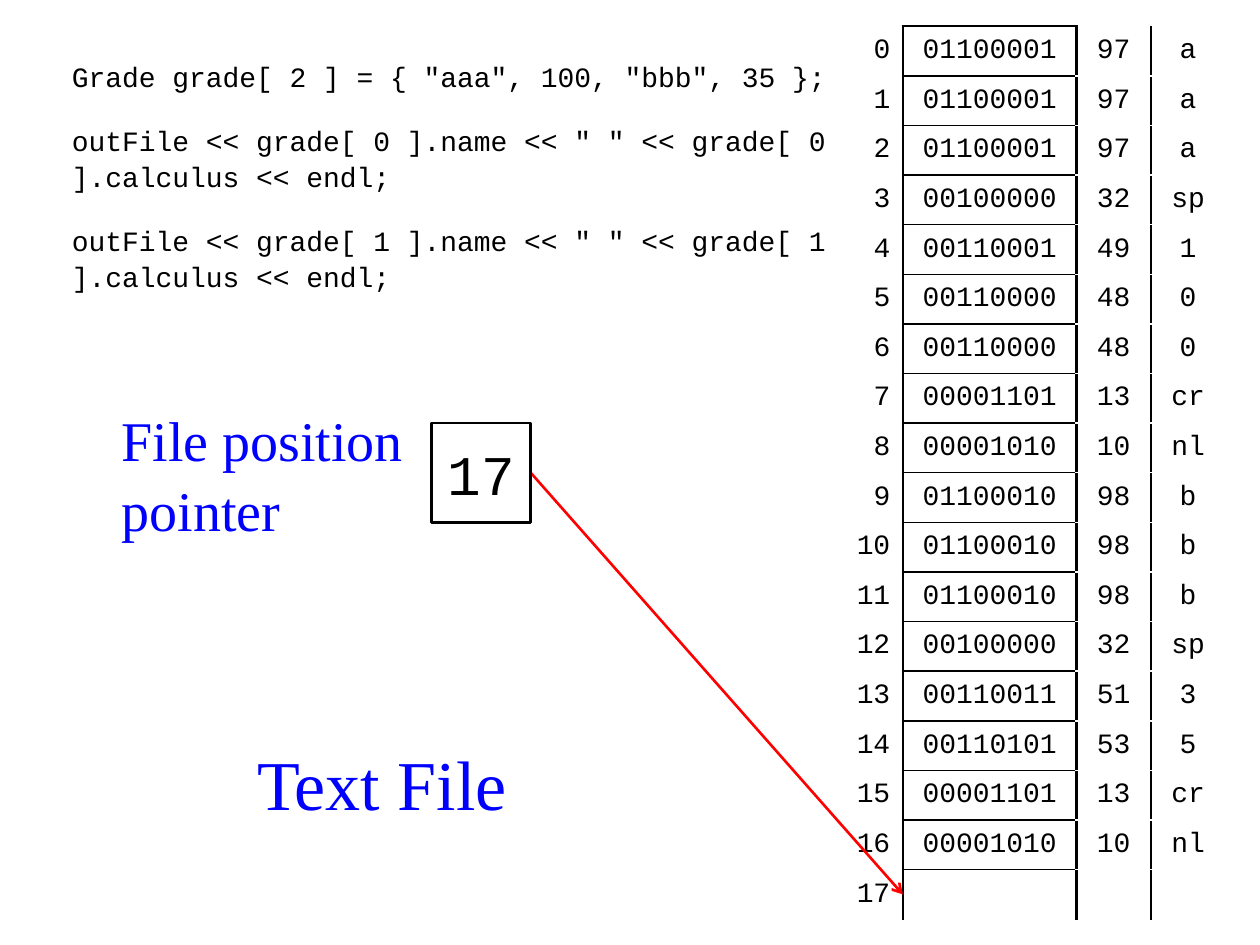
import pptx
import pptx.util
import pptx.dml.color
import pptx.enum.text
import pptx.enum.shapes
import pptx.oxml
import pptx.oxml.ns

Cm = pptx.util.Cm
Pt = pptx.util.Pt
Align = pptx.enum.text.PP_ALIGN
Anchor = pptx.enum.text.MSO_ANCHOR


def tint(code):
    return pptx.dml.color.RGBColor.from_string(code)


class Deck:
    """Slide builder on a grid of one-centimetre cells."""

    mono, serif = "Courier New", "Times New Roman"
    ink, blue, red = "000000", "0000FF", "FF0000"
    left, top, rule = 0.7, 0.53, 1.5

    def __init__(self):
        self.show = pptx.Presentation()
        self.show.slide_width = pptx.util.Inches(10)
        self.show.slide_height = pptx.util.Inches(7.5)
        self.slide = self.show.slides.add_slide(self.show.slide_layouts[6])

    def spot(self, col, row):
        return Cm(self.left + col), Cm(self.top + row)

    def area(self, col, row, wide, high):
        return *self.spot(col, row), Cm(wide), Cm(high)

    def words(self, frame, text, size, font, color, align, gap=0, lead=None):
        frame.text = text
        for num, para in enumerate(frame.paragraphs):
            para.alignment = align
            para.line_spacing = lead
            para.space_before = Pt(gap if num else 0)
            for run in para.runs:
                run.font.size = Pt(size)
                run.font.name = font
                run.font.color.rgb = tint(color)

    def text(self, area, text, size, font, color, align=Align.LEFT,
             anchor=Anchor.MIDDLE, gap=0, lead=None):
        frame = self.slide.shapes.add_textbox(*self.area(*area)).text_frame
        frame.word_wrap = True
        frame.vertical_anchor = anchor
        self.words(frame, text, size, font, color, align, gap, lead)

    def box(self, area, text, size):
        kind = pptx.enum.shapes.MSO_SHAPE.RECTANGLE
        shape = self.slide.shapes.add_shape(kind, *self.area(*area))
        shape.shadow.inherit = False
        shape.fill.background()
        shape.line.color.rgb = tint(self.ink)
        shape.line.width = Pt(self.rule)
        shape.text_frame.vertical_anchor = Anchor.MIDDLE
        self.words(shape.text_frame, text, size, self.mono, self.ink, Align.CENTER)

    def arrow(self, start, end):
        kind = pptx.enum.shapes.MSO_CONNECTOR.STRAIGHT
        link = self.slide.shapes.add_connector(kind, *self.spot(*start), *self.spot(*end))
        link.line.color.rgb = tint(self.red)
        link.line.width = Pt(self.rule)
        props = link._element.spPr
        space = pptx.oxml.ns.nsdecls("a")
        props.get_or_add_ln().append(
            pptx.oxml.parse_xml(f'<a:tailEnd {space} type="arrow"/>'))
        props.append(pptx.oxml.parse_xml(f'<a:effectLst {space}/>'))

    def edge(self, cell, sides):
        props = cell._tc.get_or_add_tcPr()
        for side, width in sides.items():
            props.append(pptx.oxml.parse_xml(
                f'<a:ln{side} {pptx.oxml.ns.nsdecls("a")} w="{int(Pt(width))}">'
                f'<a:solidFill><a:srgbClr val="{self.ink}"/></a:solidFill></a:ln{side}>'))

    def table(self, col, row, widths, rows, edges):
        area = self.area(col, row, sum(widths), len(rows))
        table = self.slide.shapes.add_table(len(rows), len(widths), *area).table
        table.first_row = table.horz_banding = False
        for part, wide in zip(table.columns, widths):
            part.width = Cm(wide)
        for y, vals in enumerate(rows):
            table.rows[y].height = Cm(1)
            for x, val in enumerate(vals):
                cell = table.cell(y, x)
                cell.vertical_anchor = Anchor.MIDDLE
                self.edge(cell, edges(x, y))
                cell.fill.background()
                align = Align.CENTER if x else Align.RIGHT
                self.words(cell.text_frame, val, 16, self.mono, self.ink, align)


signs = "a a a sp 1 0 0 cr nl b b b sp 3 5 cr nl".split()
names = {"sp": 32, "cr": 13, "nl": 10}
codes = [names.get(sign) or ord(sign) for sign in signs]
rows = [(str(num), f"{code:08b}", str(code), sign)
        for num, (code, sign) in enumerate(zip(codes, signs))]
last = len(rows)
rows.append((str(last), "", "", ""))


def edges(x, y):
    if x == 1:
        sides = {"L": 1.5, "R": 1.5, "T": 1 if y else 1.5}
        return sides if y == last else {**sides, "B": 1}
    return {0: {"R": 1.5}, 2: {"L": 1.5}}.get(x, {})


lines = ['Grade grade[ 2 ] = { "aaa", 100, "bbb", 35 };']
lines += [f'outFile << grade[ {num} ].name << " " << grade[ {num} ].calculus << endl;'
          for num in range(2)]

deck = Deck()
deck.table(16, 0, (1.5, 3.5, 1.5, 1.5), rows, edges)
deck.text((4, 14, 6, 2.5), "Text File", 40, deck.serif, deck.blue, Align.CENTER)
deck.arrow((10, 9), (17.5, last + 0.5))
deck.text((0.5, 0.5, 16, 5), "\n".join(lines), 16, deck.mono, deck.ink,
          anchor=Anchor.TOP, gap=16, lead=1.07)
deck.box((8, 8, 2, 2), str(last), 32)
deck.text((1.5, 7.5, 6.5, 3), "File position\npointer", 32, deck.serif, deck.blue, lead=1.04)
deck.show.save("out.pptx")
